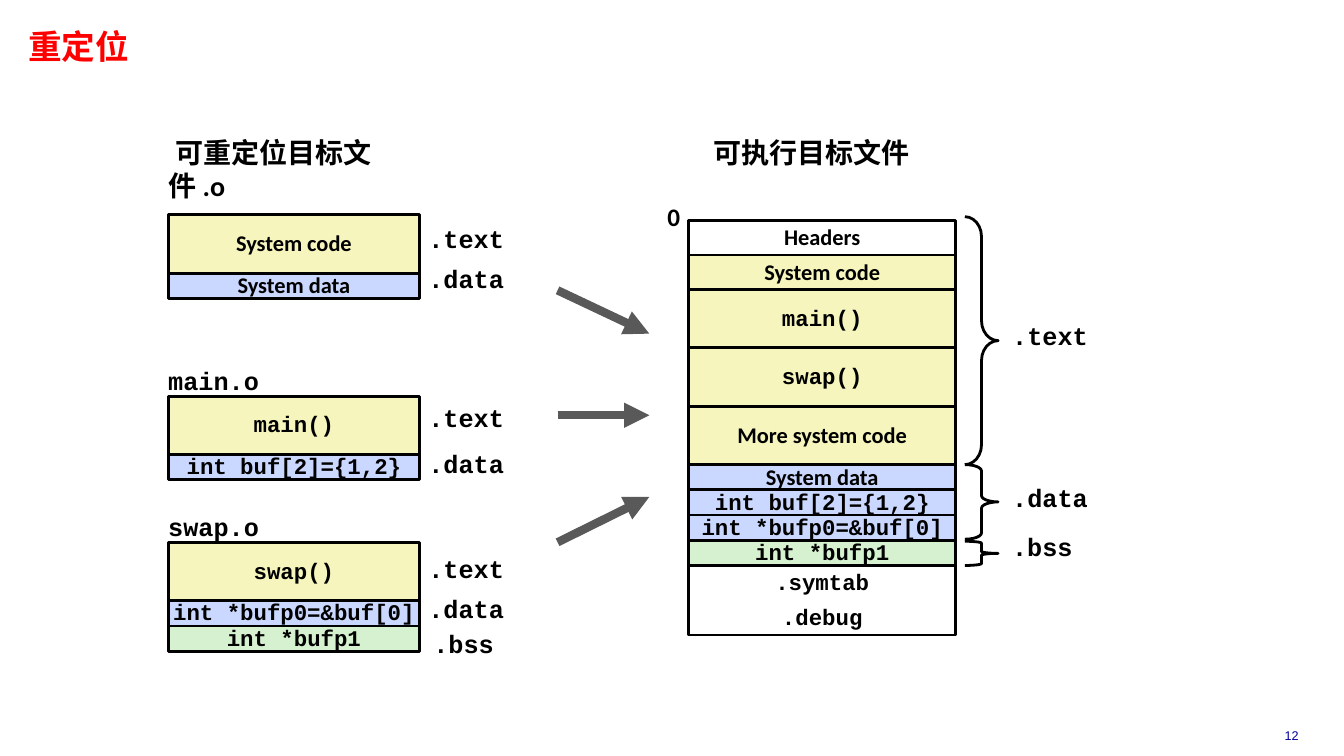
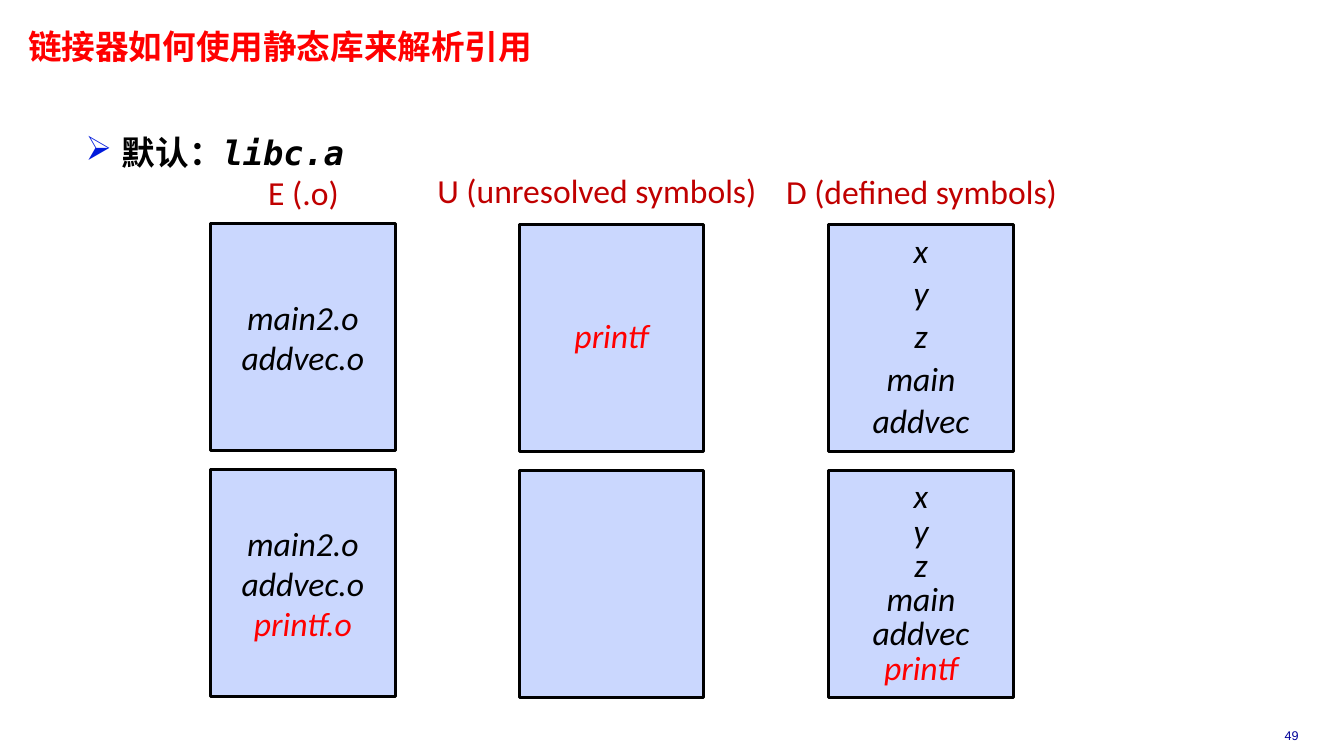
from dataclasses import dataclass

from lxml import etree
from pptx import Presentation
from pptx.dml.color import RGBColor
from pptx.enum.shapes import MSO_CONNECTOR, MSO_SHAPE
from pptx.enum.text import MSO_ANCHOR, PP_ALIGN
from pptx.oxml.ns import qn
from pptx.util import Inches, Pt


@dataclass(frozen=True)
class Theme:
    black: str = "000000"
    white: str = "FFFFFF"
    red: str = "FF0000"
    dark_red: str = "C00000"
    page_blue: str = "000099"
    bullet_blue: str = "001ADC"
    arrow_grey: str = "595959"
    code_fill: str = "F6F5BD"
    data_fill: str = "CAD7FE"
    bss_fill: str = "D5F1CF"
    sans: str = "Arial"
    body: str = "Calibri"
    mono: str = "Courier New"
    mono_italic: str = "DejaVu Sans Mono"
    chinese: str = "Noto Sans CJK SC"
    title_size: int = 24
    heading_size: int = 20
    label_size: int = 18
    row_size: int = 16
    page_size: int = 9


THEME = Theme()
CODE_ROW, SMALL_ROW = 0.58, 0.25

# Each row: text, fill, font, height
HEADERS = ("Headers", THEME.white, THEME.body, 0.34)
SYSTEM_CODE = ("System code", THEME.code_fill, THEME.body, CODE_ROW)
SYSTEM_CODE_SHORT = ("System code", THEME.code_fill, THEME.body, 0.34)
MORE_SYSTEM = ("More system code", THEME.code_fill, THEME.body, CODE_ROW)
MAIN = ("main()", THEME.code_fill, THEME.mono, CODE_ROW)
SWAP = ("swap()", THEME.code_fill, THEME.mono, CODE_ROW)
SYSTEM_DATA = ("System data", THEME.data_fill, THEME.body, SMALL_ROW)
BUF = ("int buf[2]={1,2}", THEME.data_fill, THEME.mono, SMALL_ROW)
BUFP0 = ("int *bufp0=&buf[0]", THEME.data_fill, THEME.mono, SMALL_ROW)
BUFP1 = ("int *bufp1", THEME.bss_fill, THEME.mono, SMALL_ROW)
DEBUG_TABLES = (".symtab\n.debug", THEME.white, THEME.mono, 0.69)

# Each object file: top, caption, rows, section labels with their tops
OBJECT_FILES = [
    (2.13, None, [SYSTEM_CODE, SYSTEM_DATA], [(".text", 2.19), (".data", 2.59)]),
    (3.93, "main.o", [MAIN, BUF], [(".text", 3.97), (".data", 4.42)]),
    (5.38, "swap.o", [SWAP, BUFP0, BUFP1],
     [(".text", 5.46), (".data", 5.86), (".bss", 6.21)]),
]
EXECUTABLE = [HEADERS, SYSTEM_CODE_SHORT, MAIN, SWAP, MORE_SYSTEM, SYSTEM_DATA,
              BUF, BUFP0, BUFP1, DEBUG_TABLES]
# Each section: label, label top, brace top, brace height, brace curvature
SECTIONS = [(".text", 3.15, 2.15, 2.46, 0.6), (".data", 4.76, 4.61, 0.74, 0.19),
            (".bss", 5.25, 5.37, 0.24, 0.08)]
ARROWS = [(2.88, 3.31), (4.12, 4.12), (5.38, 4.93)]

# Each set: caption, caption centre and top, box left and top, members per step
SYMBOL_SETS = [
    ("E (.o)", 3.01, 1.72, 2.09, 2.22,
     [["main2.o", "addvec.o"], ["main2.o", "addvec.o", "printf.o"]], 1.0, 0),
    ("U (unresolved symbols)", 5.92, 1.7, 5.15, 2.23, [["printf"], []], 0.85, 0),
    ("D (defined symbols)", 9.14, 1.71, 8.22, 2.23,
     [["x", "y", "z", "main", "addvec"],
      ["x", "y", "z", "main", "addvec", "printf"]], 0.85, 6),
]
STEP_GAP = 2.44


def rgb(code):
    return RGBColor.from_string(code)


def add_run(paragraph, text, size, font, color=THEME.black, bold=False, italic=False):
    run = paragraph.add_run()
    run.text = text
    run.font.size = Pt(size)
    run.font.name = font
    run.font.bold = bold
    run.font.italic = italic
    run.font.color.rgb = rgb(color)
    latin = run.font._element.find(qn("a:latin"))
    east_asian = etree.Element(qn("a:ea"), typeface=THEME.chinese)
    latin.addnext(east_asian)


def next_paragraph(frame, index, align=PP_ALIGN.LEFT, spacing=1.0, before=0):
    paragraph = frame.paragraphs[0] if index == 0 else frame.add_paragraph()
    paragraph.alignment = align
    paragraph.line_spacing = spacing
    paragraph.space_before = Pt(before if index else 0)
    return paragraph


def add_text(slide, box, text, size, font, color=THEME.black, bold=True,
             align=PP_ALIGN.LEFT, spacing=0.94, wrap=False):
    """Add a one-run text box and return its paragraph."""
    frame = slide.shapes.add_textbox(*map(Inches, box)).text_frame
    frame.word_wrap = wrap
    paragraph = next_paragraph(frame, 0, align, spacing)
    add_run(paragraph, text, size, font, color, bold)
    return paragraph


def add_outlined(slide, preset, box, fill=None, width=2):
    shape = slide.shapes.add_shape(preset, *map(Inches, box))
    shape.shadow.inherit = False
    if fill:
        shape.fill.solid()
        shape.fill.fore_color.rgb = rgb(fill)
    else:
        shape.fill.background()
    shape.line.color.rgb = rgb(THEME.black)
    shape.line.width = Pt(width)
    return shape


def add_stack(slide, left, top, width, rows):
    """Stack memory rows downwards without gaps."""
    for text, fill, font, height in rows:
        row = add_outlined(slide, MSO_SHAPE.RECTANGLE, (left, top, width, height), fill)
        frame = row.text_frame
        frame.word_wrap = False
        frame.vertical_anchor = MSO_ANCHOR.MIDDLE
        spacing = 0.94 if font == THEME.mono else 0.98
        for index, line in enumerate(text.split("\n")):
            paragraph = next_paragraph(frame, index, PP_ALIGN.CENTER, spacing, 7)
            add_run(paragraph, line, THEME.row_size, font, bold=True)
        top += height


def add_section_label(slide, left, top, text):
    width = 0.2 + 0.15 * len(text)
    add_text(slide, (left, top, width, 0.39), text, THEME.label_size, THEME.mono)


def add_arrow(slide, left, right, start, end):
    arrow = slide.shapes.add_connector(
        MSO_CONNECTOR.STRAIGHT, *map(Inches, (left, start, right, end)))
    arrow.line.color.rgb = rgb(THEME.arrow_grey)
    arrow.line.width = Pt(6)
    etree.SubElement(arrow.line._get_or_add_ln(), qn("a:tailEnd"), type="triangle")
    etree.SubElement(arrow._element.spPr, qn("a:effectLst"))


def add_heading(slide, left, top, text):
    paragraph = add_text(slide, (left, top, 2.3, 0.43), text, THEME.heading_size,
                         THEME.body, spacing=0.98, wrap=True)
    paragraph._p.get_or_add_pPr().set("indent", str(Inches(0.07)))


def add_object_file(slide, left, top, caption, rows, labels):
    width = 2.49
    add_stack(slide, left, top, width, rows)
    if caption:
        add_text(slide, (left - 0.1, top - 0.33, 1.1, 0.39), caption,
                 THEME.label_size, THEME.mono)
    for text, label_top in labels:
        offset = 0.04 if text == ".bss" else -0.01
        add_section_label(slide, left + width + offset, label_top, text)


def add_executable(slide, left, top):
    width = 2.65
    add_stack(slide, left, top, width, EXECUTABLE)
    add_text(slide, (left - 0.31, top - 0.23, 0.34, 0.4), "0", THEME.label_size,
             THEME.body, spacing=0.98)
    right = left + width
    for text, label_top, brace_top, height, curvature in SECTIONS:
        brace = add_outlined(slide, MSO_SHAPE.RIGHT_BRACE,
                             (right + 0.09, brace_top, 0.33, height))
        brace.adjustments[0] = curvature
        add_section_label(slide, right + 0.46, label_top, text)


def add_symbol_box(slide, left, top, members, spacing, before):
    """Draw a set of symbols, with printf entries in red."""
    box = add_outlined(slide, MSO_SHAPE.RECTANGLE, (left, top, 1.83, 2.25),
                       THEME.data_fill, 2.25)
    frame = box.text_frame
    frame.vertical_anchor = MSO_ANCHOR.MIDDLE
    for index, member in enumerate(members):
        paragraph = next_paragraph(frame, index, PP_ALIGN.CENTER, spacing, before)
        color = THEME.red if member.startswith("printf") else THEME.black
        add_run(paragraph, member, THEME.title_size, THEME.body, color, italic=True)


def add_library_bullet(slide, left, top):
    box = slide.shapes.add_textbox(*map(Inches, (left, top, 12.4, 0.6)))
    frame = box.text_frame
    frame.word_wrap = True
    frame.margin_left = frame.margin_top = Inches(0.03)
    paragraph = next_paragraph(frame, 0, spacing=1.25)
    properties = paragraph._p.get_or_add_pPr()
    properties.set("marL", str(Inches(0.75)))
    properties.set("indent", str(-Inches(0.36)))
    bullet_color = etree.SubElement(properties, qn("a:buClr"))
    etree.SubElement(bullet_color, qn("a:srgbClr"), val=THEME.bullet_blue)
    etree.SubElement(properties, qn("a:buChar"), char="➢")
    add_run(paragraph, "默认：", THEME.title_size, THEME.mono, bold=True)
    add_run(paragraph, "libc.a", THEME.title_size, THEME.mono_italic,
            bold=True, italic=True)


def new_slide(deck, title, title_font, number):
    slide = deck.slides.add_slide(deck.slide_layouts[6])
    add_text(slide, (0.18, 0.26, 7.8, 0.47), title, THEME.title_size, title_font,
             THEME.red, spacing=0.87, wrap=True)
    add_text(slide, (12.34, 7.17, 0.94, 0.25), str(number), THEME.page_size, THEME.sans,
             THEME.page_blue, bold=False, align=PP_ALIGN.CENTER, spacing=1.0, wrap=True)
    return slide


def build_relocation(deck):
    slide = new_slide(deck, "重定位", THEME.sans, 12)
    add_heading(slide, 1.57, 1.31, "可重定位目标文件 .o")
    add_heading(slide, 6.91, 1.31, "可执行目标文件")
    for top, caption, rows, labels in OBJECT_FILES:
        add_object_file(slide, 1.67, top, caption, rows, labels)
    add_executable(slide, 6.83, 2.19)
    for start, end in ARROWS:
        add_arrow(slide, 5.53, 6.44, start, end)


def build_static_library(deck):
    slide = new_slide(deck, "链接器如何使用静态库来解析引用", THEME.chinese, 49)
    add_library_bullet(slide, 0.43, 1.18)
    for caption, centre, caption_top, left, top, steps, spacing, before in SYMBOL_SETS:
        add_text(slide, (centre - 1.7, caption_top, 3.4, 0.44), caption,
                 THEME.title_size, THEME.body, THEME.dark_red, bold=False,
                 align=PP_ALIGN.CENTER, spacing=0.85)
        for step, members in enumerate(steps):
            add_symbol_box(slide, left, top + step * STEP_GAP, members, spacing,
                           0 if step else before)


def main():
    deck = Presentation()
    deck.slide_width, deck.slide_height = Inches(13.33), Inches(7.5)
    build_relocation(deck)
    build_static_library(deck)
    deck.save("out.pptx")


if __name__ == "__main__":
    main()
